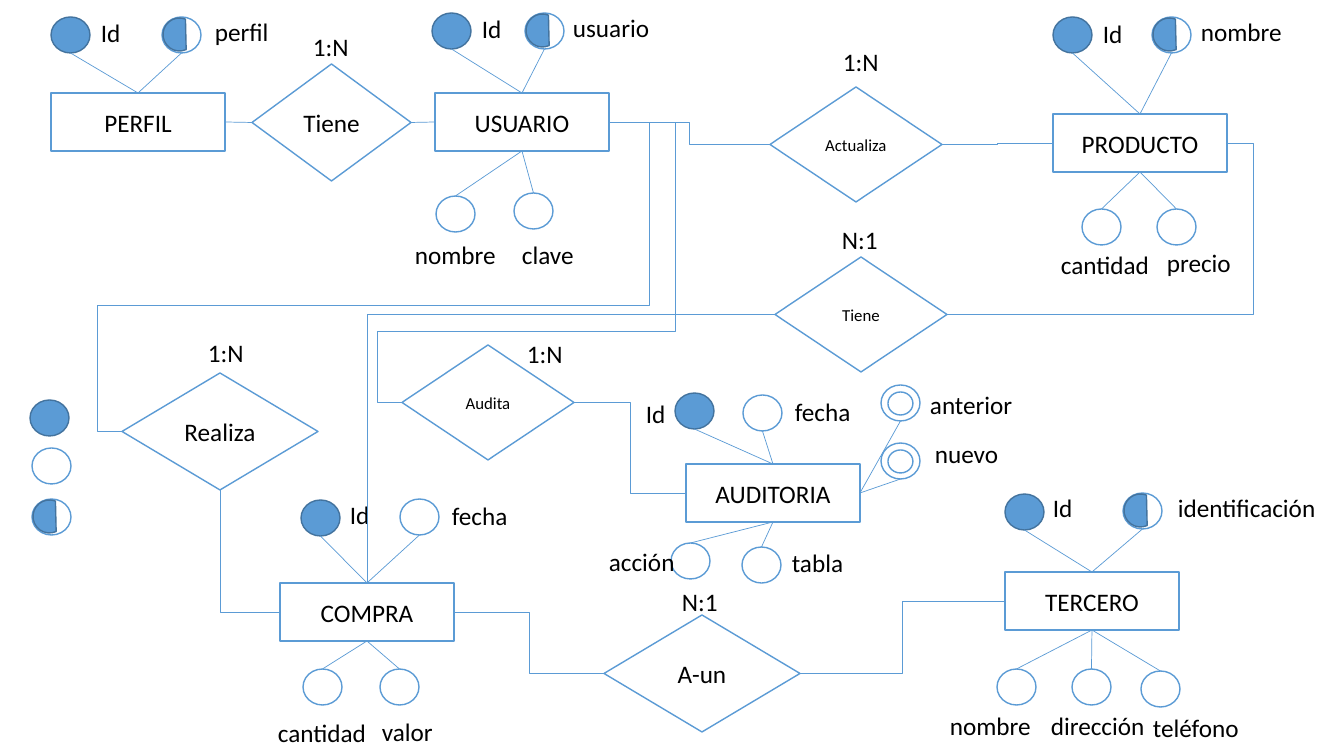
from lxml.etree import SubElement
from pptx import Presentation
from pptx.dml.color import RGBColor
from pptx.enum.shapes import MSO_CONNECTOR, MSO_SHAPE
from pptx.enum.text import MSO_ANCHOR, MSO_AUTO_SIZE, PP_ALIGN
from pptx.oxml.ns import qn
from pptx.util import Pt

SCALE = 914400 / 100.8
BLUE = RGBColor(0x5B, 0x9B, 0xD5)
DARK_BLUE = RGBColor(0x43, 0x73, 0x9E)
WHITE = RGBColor(0xFF, 0xFF, 0xFF)
BLACK = RGBColor(0, 0, 0)
FONT = "Calibri"
ENTITY_SIZE = (174, 58)
DOT_WIDTH, DOT_HEIGHT = 39, 36
TOP, LEFT, BOTTOM, RIGHT = range(4)

LABEL_WIDTHS = {
    "Id": 40, "perfil": 75, "usuario": 98, "nombre": 102, "clave": 73,
    "identificación": 159, "dirección": 115, "teléfono": 107,
    "cantidad": 110, "precio": 85, "fecha": 78, "valor": 72, "acción": 87,
    "tabla": 73, "anterior": 104, "nuevo": 85, "1:N": 56, "N:1": 56,
}

ENTITIES = {
    "PERFIL": ((51, 93), [
        ("full", 0, -76, "Id", 40, -81),
        ("half", 111, -76, "perfil", 154, -82)]),
    "USUARIO": ((435, 93), [
        ("full", -3, -80, "Id", 37, -85),
        ("half", 90, -80, "usuario", 128, -86),
        ("open", 1, 103, "nombre", -30, 141),
        ("open", 79, 100, "clave", 77, 141)]),
    "PRODUCTO": ((1053, 114), [
        ("full", 0, -97, "Id", 40, -101),
        ("half", 99, -97, "nombre", 138, -103),
        ("open", 29, 95, "cantidad", -2, 130),
        ("open", 104, 95, "precio", 104, 128)]),
    "COMPRA": ((280, 583), [
        ("full", 21, -83, "Id", 60, -89),
        ("open", 120, -84, "fecha", 162, -88),
        ("open", 23, 86, "cantidad", -12, 129),
        ("open", 100, 86, "valor", 92, 128)]),
    "AUDITORIA": ((686, 464), [
        ("full", -11, -71, "Id", -50, -71),
        ("open", 57, -69, "fecha", 99, -73),
        ("open", -15, 79, "acción", -87, 77),
        ("open", 56, 83, "tabla", 96, 78),
        ("double", 195, -21, "nuevo", 239, -31),
        ("double", 195, -79, "anterior", 234, -80)]),
    "TERCERO": ((1005, 572), [
        ("full", 0, -78, "Id", 38, -85),
        ("half", 118, -79, "identificación", 163, -85),
        ("open", -8, 97, "nombre", -65, 133),
        ("open", 67, 97, "dirección", 36, 133),
        ("open", 136, 99, "teléfono", 138, 135)]),
}

RELATIONS = {
    "perfil-usuario": ((252, 64, 159, 117), "Tiene", 18, "1:N", 51, -38),
    "usuario-producto": ((770, 87, 172, 115), "Actualiza", 12, "1:N", 63, -46),
    "compra-producto": ((775, 257, 172, 115), "Tiene", 12, "N:1", 57, -38),
    "usuario-compra": ((122, 373, 196, 117), "Realiza", 18, "1:N", 76, -41),
    "usuario-auditoria": ((402, 345, 172, 115), "Audita", 12, "1:N", 115, -12),
    "compra-tercero": ((604, 615, 196, 117), "A-un", 18, "N:1", 68, -34),
}

LINKS = [
    ("PERFIL", RIGHT, "perfil-usuario", LEFT, "line", ()),
    ("perfil-usuario", RIGHT, "USUARIO", LEFT, "line", ()),
    ("USUARIO", RIGHT, "usuario-producto", LEFT, "bentConnector3", ()),
    ("usuario-producto", RIGHT, "PRODUCTO", LEFT, "bentConnector3", ()),
    ("USUARIO", RIGHT, "usuario-compra", LEFT, "bentConnector5", (650, 305, 97)),
    ("COMPRA", LEFT, "usuario-compra", BOTTOM, "bentConnector2", ()),
    ("USUARIO", RIGHT, "usuario-auditoria", LEFT, "bentConnector5", (675, 331, 377)),
    ("usuario-auditoria", RIGHT, "AUDITORIA", LEFT, "bentConnector3", ()),
    ("compra-producto", LEFT, "COMPRA", TOP, "bentConnector2", ()),
    ("compra-producto", RIGHT, "PRODUCTO", RIGHT, "bentConnector3", (1253,)),
    ("TERCERO", LEFT, "compra-tercero", RIGHT, "bentConnector3", ()),
    ("compra-tercero", LEFT, "COMPRA", RIGHT, "bentConnector3", ()),
]


def px(*lengths):
    """Turn pixels into EMU."""
    return [round(length * SCALE) for length in lengths]


def write(frame, text, size=18):
    """Put one run into the first paragraph and return the paragraph."""
    para = frame.paragraphs[0]
    span = para.add_run()
    span.text = text
    span.font.size = Pt(size)
    span.font.name = FONT
    span.font.color.rgb = BLACK
    return para


def add_figure(shapes, preset, box, fill=WHITE, line=BLUE, text="", size=18):
    """Add a preset shape with an optional centred text."""
    figure = shapes.add_shape(preset, *px(*box))
    figure.shadow.inherit = False
    figure.fill.solid()
    figure.fill.fore_color.rgb = fill
    figure.line.color.rgb = line
    figure.line.width = Pt(1)
    if text:
        figure.text_frame.vertical_anchor = MSO_ANCHOR.MIDDLE
        write(figure.text_frame, text, size).alignment = PP_ALIGN.CENTER
    return figure


def add_label(page, text, left, top):
    """Add an unwrapped label."""
    box = page.shapes.add_textbox(*px(left, top, LABEL_WIDTHS[text], 40))
    box.text_frame.word_wrap = False
    box.text_frame.auto_size = MSO_AUTO_SIZE.SHAPE_TO_FIT_TEXT
    write(box.text_frame, text)


def add_dot(page, kind, left, top):
    """Add an attribute circle: full, open, half or double."""
    box = (left, top, DOT_WIDTH, DOT_HEIGHT)
    if kind == "full":
        add_figure(page.shapes, MSO_SHAPE.OVAL, box, BLUE, DARK_BLUE)
        return
    shapes = page.shapes.add_group_shape().shapes if kind == "half" else page.shapes
    add_figure(shapes, MSO_SHAPE.OVAL, box)
    if kind == "half":
        chord = add_figure(shapes, MSO_SHAPE.CHORD, (left + 1, top + 1, 33, 33), BLUE, DARK_BLUE)
        chord.rotation = 21.1
    elif kind == "double":
        add_figure(shapes, MSO_SHAPE.OVAL, (left + 7, top + 7, 25, 23))


def style_link(link):
    """Give a connector its thin blue line and no shadow."""
    link.line.color.rgb = BLUE
    link.line.width = Pt(0.5)
    SubElement(link._element.spPr, qn("a:effectLst"))


def add_entity(page, name, corner, attributes):
    """Add an entity box with its attributes placed from its corner."""
    left, top = corner
    entity = add_figure(page.shapes, MSO_SHAPE.RECTANGLE, (*corner, *ENTITY_SIZE), text=name)
    for kind, dot_x, dot_y, label, label_x, label_y in attributes:
        add_dot(page, kind, left + dot_x, top + dot_y)
        add_label(page, label, left + label_x, top + label_y)
        above = dot_y < 0
        end = px(left + dot_x + DOT_WIDTH / 2, top + dot_y + DOT_HEIGHT * above)
        spoke = page.shapes.add_connector(MSO_CONNECTOR.STRAIGHT, *px(*corner), *end)
        side = RIGHT if kind == "double" else TOP if above else BOTTOM
        spoke.begin_connect(entity, side)
        style_link(spoke)
    return entity


def add_relation(page, box, name, size, ratio, ratio_x, ratio_y):
    """Add a relation diamond and its cardinality."""
    diamond = add_figure(page.shapes, MSO_SHAPE.DIAMOND, box, text=name, size=size)
    add_label(page, ratio, box[0] + ratio_x, box[1] + ratio_y)
    return diamond


def add_link(page, start, start_side, end, end_side, preset, turns):
    """Join two shapes, bending at the given alternating x and y positions."""
    kind = MSO_CONNECTOR.STRAIGHT if preset == "line" else MSO_CONNECTOR.ELBOW
    link = page.shapes.add_connector(kind, 0, 0, 0, 0)
    link.begin_connect(start, start_side)
    link.end_connect(end, end_side)
    style_link(link)
    geometry = link._element.spPr.find(qn("a:prstGeom"))
    geometry.set("prst", preset)
    origin = (link.begin_x, link.begin_y)
    extent = (link.end_x - link.begin_x, link.end_y - link.begin_y)
    for index, turn in enumerate(px(*turns)):
        axis = index % 2
        share = round((turn - origin[axis]) / extent[axis] * 100000)
        SubElement(geometry.find(qn("a:avLst")), qn("a:gd"),
                   name=f"adj{index + 1}" if len(turns) > 1 else "adj1", fmla=f"val {share}")


def add_legend(page, left, top):
    """Add the column of attribute symbols."""
    for kind, dot_x, dot_y in (("full", 0, 0), ("open", 2, 48), ("half", 2, 99)):
        add_dot(page, kind, left + dot_x, top + dot_y)


deck = Presentation()
deck.slide_width, deck.slide_height = px(1344, 756)
page = deck.slides.add_slide(deck.slide_layouts[6])
nodes = {name: add_entity(page, name, *entity) for name, entity in ENTITIES.items()}
nodes.update({name: add_relation(page, *relation) for name, relation in RELATIONS.items()})
for start, start_side, end, end_side, preset, turns in LINKS:
    add_link(page, nodes[start], start_side, nodes[end], end_side, preset, turns)
add_legend(page, 30, 400)
deck.save("out.pptx")
